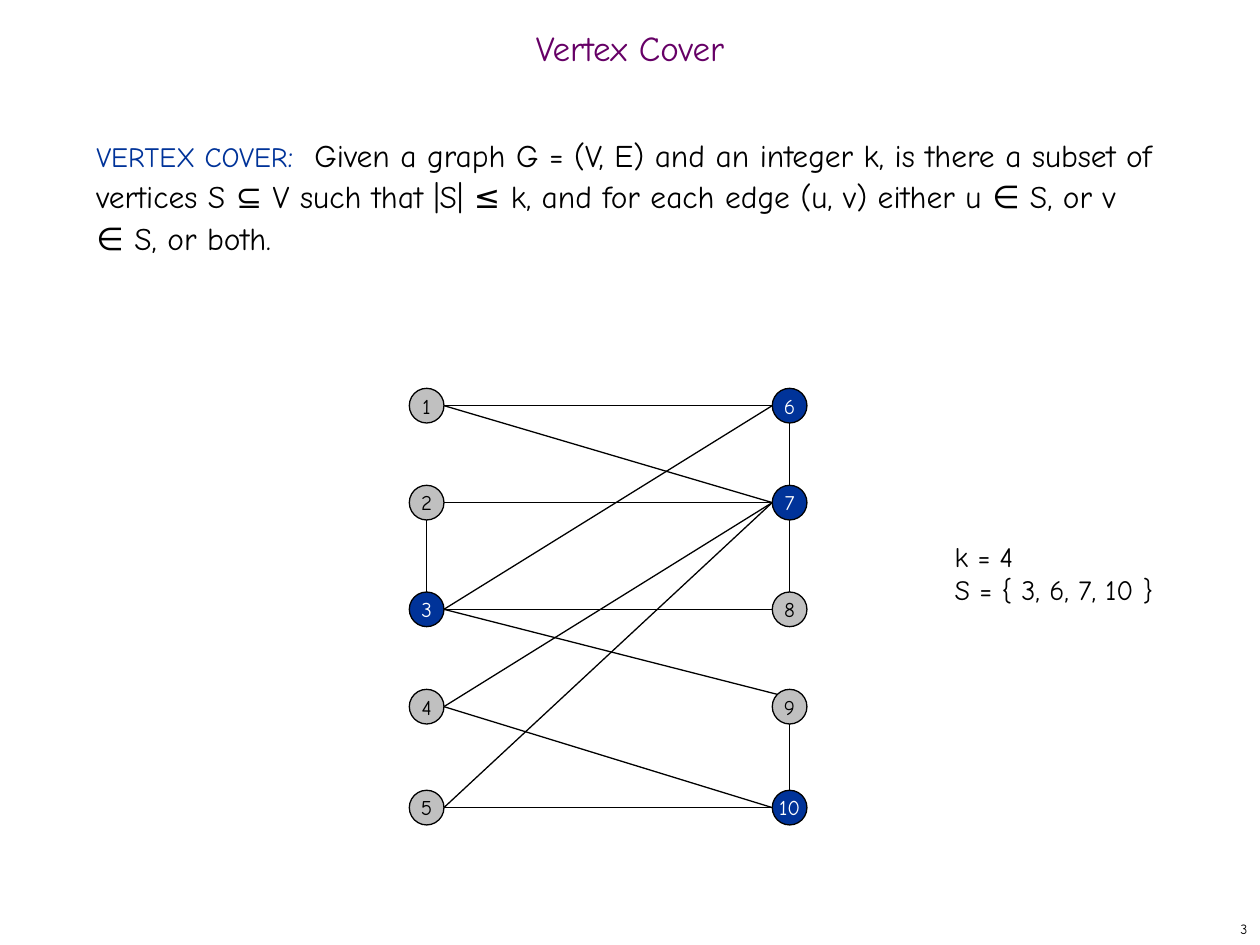
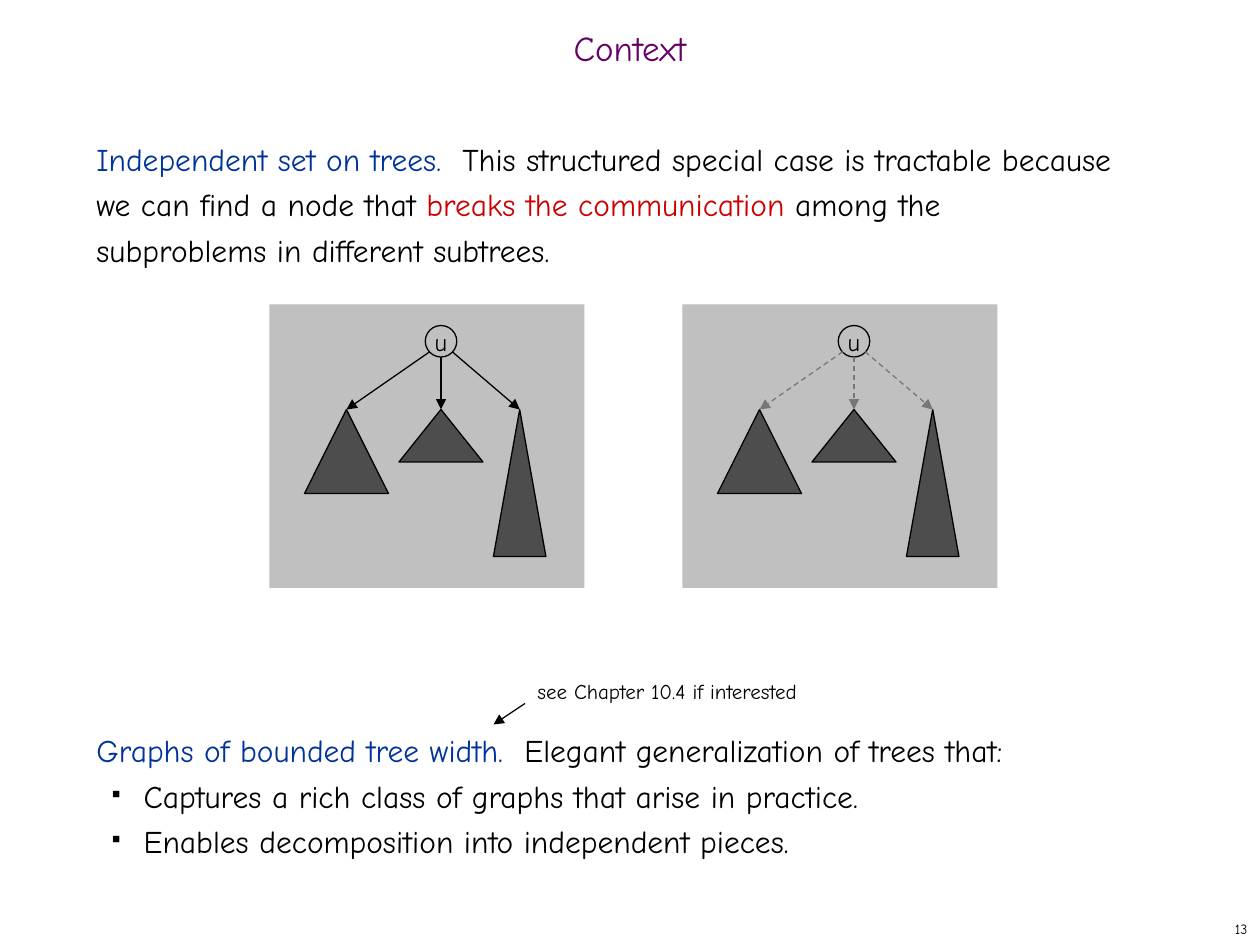
"""Build two slides on vertex cover and on independent sets in trees."""
from lxml import etree
from pptx import Presentation
from pptx import util as u
from pptx.dml import color
from pptx.enum import dml, shapes, text
from pptx.oxml import ns

FONT = "Comic Neue"
BLACK, WHITE, GREY, DARK = "000000", "FFFFFF", "C0C0C0", "4D4D4D"
PURPLE, BLUE, RED, FADED = "660066", "003399", "CC0000", "777777"
MIDDLE, TOP = text.MSO_ANCHOR.MIDDLE, text.MSO_ANCHOR.TOP
LEFT, CENTER, RIGHT = text.PP_ALIGN.LEFT, text.PP_ALIGN.CENTER, text.PP_ALIGN.RIGHT
OVAL, RECT = shapes.MSO_SHAPE.OVAL, shapes.MSO_SHAPE.RECTANGLE
TRIANGLE = shapes.MSO_SHAPE.ISOSCELES_TRIANGLE
rgb = color.RGBColor.from_string


def write(p, content, size, colour=BLACK):
    r = p.add_run()
    r.text = content
    r.font.name, r.font.size = FONT, u.Pt(size)
    r.font.color.rgb = rgb(colour)


def add_box(s, x, y, w, h, anchor=TOP, align=LEFT, wrap=True):
    tf = s.shapes.add_textbox(u.Pt(x), u.Pt(y), u.Pt(w), u.Pt(h)).text_frame
    tf.word_wrap, tf.vertical_anchor = wrap, anchor
    tf.paragraphs[0].alignment = align
    return tf


prs = Presentation()
prs.slide_width, prs.slide_height = u.Pt(720), u.Pt(540)

bodies = []
for title, number in [("Vertex Cover", "3"), ("Context", "13")]:
    s = prs.slides.add_slide(prs.slide_layouts[6])
    p = add_box(s, 0, 12, 720, 36, MIDDLE, CENTER).paragraphs[0]
    p.line_spacing = 0.7
    write(p, title, 20, PURPLE)
    bodies.append(add_box(s, 48, 72, 618, 426))
    write(add_box(s, 570, 522, 150, 18, MIDDLE, RIGHT).paragraphs[0], number, 8)
cover, context = prs.slides

p = bodies[0].paragraphs[0]
p.line_spacing = 1.1
write(p, "VERTEX COVER", 16, BLUE)
write(p, ":  ", 18, BLUE)
write(p, "Given a graph G = (V, E) and an integer k, is there a subset of vertices "
      "S ⊆ V such that |S| ≤ k, and for each edge (u, v) either u ∈ S, or v ∈ S, or both.", 18)

p = add_box(cover, 538.5, 304.5, 138, 52, wrap=False).paragraphs[0]
write(p, "k = 4", 16)
p.add_line_break()
write(p, "S = { 3, 6, 7, 10 }", 16)

lines = [
    [("Independent set on trees.  ", BLUE),
     ("This structured special case is tractable because we can find a node that ", BLACK),
     ("breaks the communication", RED), (" among the", BLACK)],
    [("subproblems in different subtrees.", BLACK)],
    [("Graphs of bounded tree width.  ", BLUE),
     ("Elegant generalization of trees that:", BLACK)],
    [("Captures a rich class of graphs that arise in practice.", BLACK)],
    [("Enables decomposition into independent pieces.", BLACK)],
]
tf = bodies[1]
for i, runs in enumerate(lines):
    p = tf.paragraphs[0] if i == 0 else tf.add_paragraph()
    p.line_spacing = u.Pt(26)
    if i == 2:
        p.space_before = u.Pt(10 * 26)
    for content, colour in runs:
        write(p, content, 18, colour)
    if i > 2:
        p.level = 1
        pPr = p._p.get_or_add_pPr()
        pPr.set("marL", str(u.Pt(27)))
        pPr.set("indent", str(u.Pt(-18)))
        etree.SubElement(pPr, ns.qn("a:buSzPct")).set("val", "35000")
        etree.SubElement(pPr, ns.qn("a:buChar")).set("char", "■")

write(add_box(context, 300, 384, 186.5, 21.6, wrap=False).paragraphs[0],
      "see Chapter 10.4 if interested", 12)

figures, links = [], []
columns, rows, radius = [243.8, 451.2], [231.8, 287.2, 348.2, 403.8, 461.5], 9.9
centres = {c * 5 + r + 1: (x, y) for c, x in enumerate(columns) for r, y in enumerate(rows)}
for node, (x, y) in centres.items():
    fill, ink = (BLUE, WHITE) if node in (3, 6, 7, 10) else (GREY, BLACK)
    figures.append((cover, OVAL, x - radius, y - radius, 2 * radius, 2 * radius,
                    fill, str(node), 12, ink))

edges = [(1, 6), (1, 7), (2, 7), (3, 6), (3, 8), (3, 9), (4, 7), (4, 10), (5, 7), (5, 10),
         (2, 3), (6, 7), (7, 8), (9, 10)]
for a, b in edges:
    (x1, y1), (x2, y2) = centres[a], centres[b]
    if x1 == x2:
        start, end = (0, 1), (0, -1)
    else:
        start, end = (1, 0), (-0.71, -0.71) if b == 9 else (-1, 0)
    links.append((cover, x1 + radius * start[0], y1 + radius * start[1],
                  x2 + radius * end[0], y2 + radius * end[1], BLACK, False, False))

subtrees = [(174, 48, 48, 245.6, 201), (228, 48, 30, 252, 204), (282, 30, 84, 258.4, 201)]
for shift, colour, dashed in [(0, BLACK, False), (236, FADED, True)]:
    figures.append((context, RECT, 154 + shift, 174, 180, 162, GREY, "", 0, ""))
    figures.append((context, OVAL, 243 + shift, 186, 18, 18, GREY, "u", 14, BLACK))
    for x, w, h, from_x, from_y in subtrees:
        figures.append((context, TRIANGLE, x + shift, 234, w, h, DARK, "", 0, ""))
        links.append((context, from_x + shift, from_y, x + w / 2 + shift, 234,
                      colour, dashed, True))
links.append((context, 300, 402, 282, 414, BLACK, False, True))

for s, kind, x, y, w, h, fill, label, size, ink in figures:
    sp = s.shapes.add_shape(kind, u.Pt(x), u.Pt(y), u.Pt(w), u.Pt(h))
    sp.shadow.inherit = False
    sp.fill.solid()
    sp.fill.fore_color.rgb = rgb(fill)
    if kind == RECT:
        sp.line.fill.background()
    else:
        sp.line.color.rgb, sp.line.width = rgb(BLACK), u.Pt(0.75)
    if label:
        tf = sp.text_frame
        tf.word_wrap, tf.vertical_anchor = False, MIDDLE
        tf.paragraphs[0].alignment = CENTER
        write(tf.paragraphs[0], label, size, ink)

for s, x1, y1, x2, y2, colour, dashed, arrow in links:
    line = s.shapes.add_connector(shapes.MSO_CONNECTOR.STRAIGHT,
                                  u.Pt(x1), u.Pt(y1), u.Pt(x2), u.Pt(y2))
    line.line.color.rgb, line.line.width = rgb(colour), u.Pt(0.75)
    if dashed:
        line.line.dash_style = dml.MSO_LINE.DASH
    if arrow:
        etree.SubElement(line.line._get_or_add_ln(), ns.qn("a:tailEnd")).set("type", "triangle")
    etree.SubElement(line._element.spPr, ns.qn("a:effectLst"))

prs.save("out.pptx")
